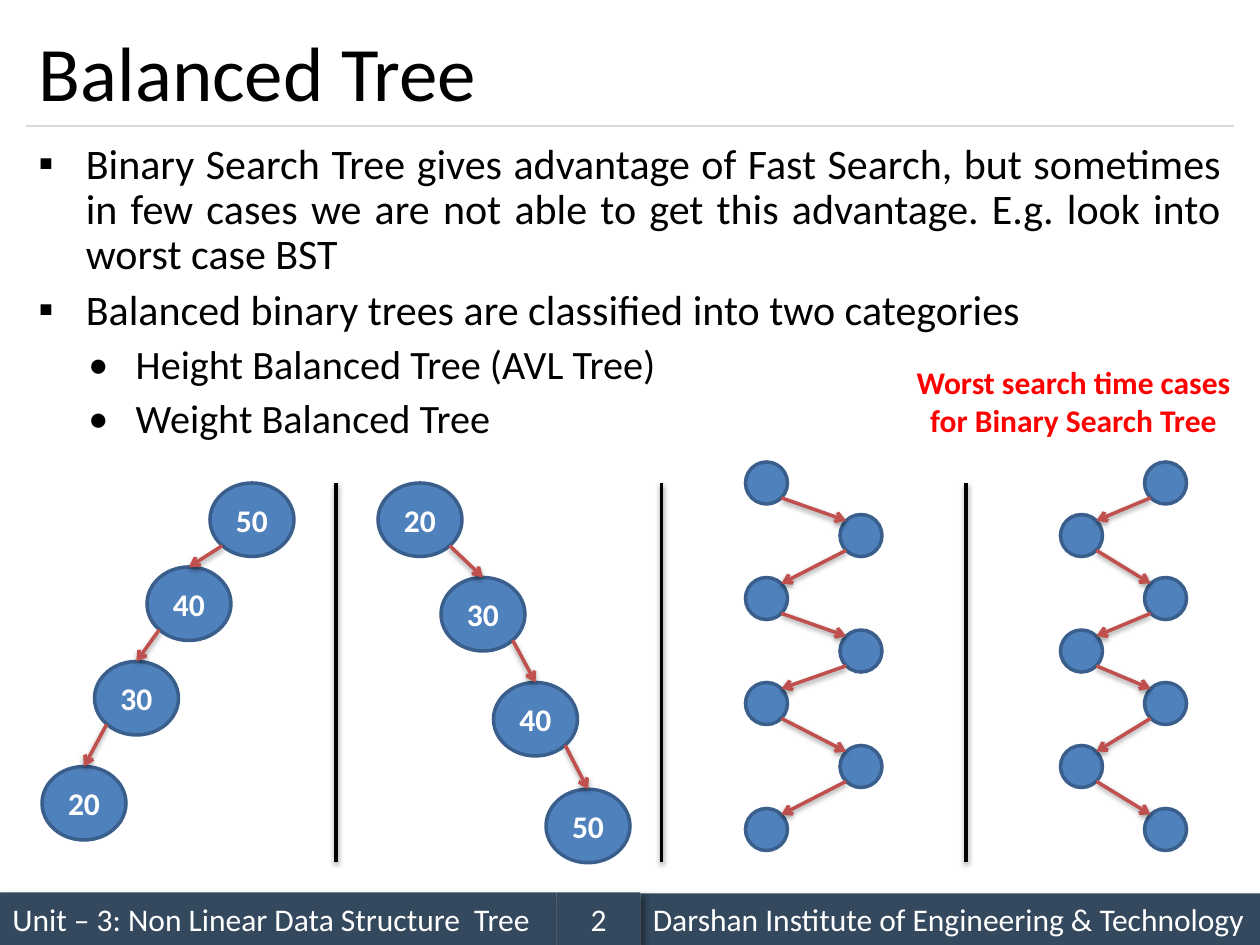
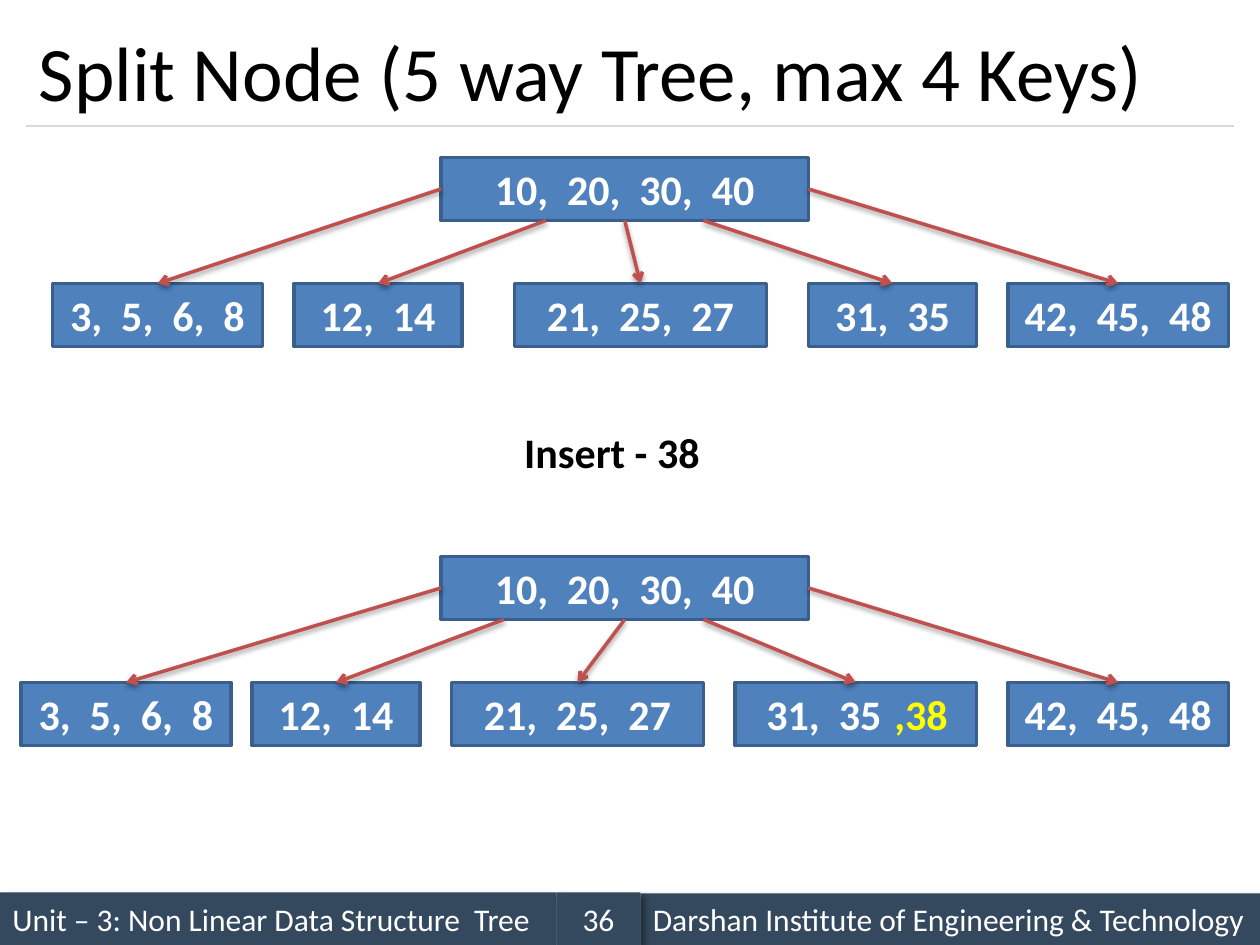
from dataclasses import dataclass
from math import sqrt

from lxml import etree
from pptx import Presentation
from pptx.dml.color import RGBColor
from pptx.enum.shapes import MSO_CONNECTOR, MSO_SHAPE
from pptx.enum.text import MSO_ANCHOR, MSO_AUTO_SIZE, PP_ALIGN
from pptx.oxml.ns import qn
from pptx.util import Pt

RECT, OVAL = MSO_SHAPE.RECTANGLE, MSO_SHAPE.OVAL
LINE = MSO_CONNECTOR.STRAIGHT
MID, TOP = MSO_ANCHOR.MIDDLE, MSO_ANCHOR.TOP
LEFT, MIDST, FULL = PP_ALIGN.LEFT, PP_ALIGN.CENTER, PP_ALIGN.JUSTIFY
FIXED = MSO_AUTO_SIZE.NONE

FACE = "Calibri"
BLACK, WHITE, RED, GOLD = "000000", "FFFFFF", "FF0000", "FFFF00"
BLUE, EDGE, ARROW, BAND, RULE = "4F81BD", "3A5F8C", "C0504D", "34495E", "D9D9D9"


@dataclass
class Shade:
    alpha: int
    blur: float
    dist: float
    angle: int


@dataclass
class Bar:
    left: float
    top: float
    width: float
    align: PP_ALIGN
    text: str


@dataclass
class Chain:
    """Ovals joined in a row by arrows; zigzag arrows end at a corner."""
    spots: list[tuple[float, float]]
    width: float
    height: float
    labels: list[str]
    zigzag: bool = False


@dataclass
class Leaf:
    left: float
    width: float
    text: str
    indent: float = 0


@dataclass
class Tree:
    top: float
    forks: tuple[float, float]
    leaves: list[Leaf]


SOFT = Shade(38, 3.1, 1.6, 90)
DEEP = Shade(40, 4, 3, 45)


# Shared helpers
def tint(code: str) -> RGBColor:
    return RGBColor.from_string(code)


def style(font, size: float, code: str, bold: bool = False) -> None:
    look = {"name": FACE, "size": Pt(size), "bold": bold}
    for key, value in look.items():
        setattr(font, key, value)
    font.color.rgb = tint(code)


def frame(shape, anchor=MID, wrap: bool = True, **margins):
    look = {"auto_size": FIXED, "word_wrap": wrap, "vertical_anchor": anchor}
    look |= {f"margin_{side}": Pt(gap) for side, gap in margins.items()}
    for key, value in look.items():
        setattr(shape.text_frame, key, value)
    return shape.text_frame


def write(body, lines: list[str], size: float, code: str,
          bold: bool = False, align=LEFT) -> None:
    for i, line in enumerate(lines):
        para = body.add_paragraph() if i else body.paragraphs[0]
        para.text, para.alignment = line, align
        style(para.font, size, code, bold)


def cast(effects, shade: Shade) -> None:
    outer = etree.SubElement(
        effects, qn("a:outerShdw"), blurRad=str(Pt(shade.blur)),
        dist=str(Pt(shade.dist)), dir=str(shade.angle * 60000),
        algn="ctr", rotWithShape="0")
    ink = etree.SubElement(outer, qn("a:srgbClr"), val=BLACK)
    etree.SubElement(ink, qn("a:alpha"), val=str(shade.alpha * 1000))


def block(shapes, kind, box: tuple, fill: str, edge: str = ""):
    shape = shapes.add_shape(kind, *map(Pt, box))
    shape.shadow.inherit = False
    shape.fill.solid()
    shape.fill.fore_color.rgb = tint(fill)
    if edge:
        shape.line.color.rgb = tint(edge)
        shape.line.width = Pt(2)
    else:
        shape.line.fill.background()
    return shape


def node(shapes, kind, box: tuple, text: str, size: float, indent: float = 0):
    shape = block(shapes, kind, box, BLUE, EDGE)
    if text:
        body = frame(shape, left=indent, right=0)
        write(body, [text], size, WHITE, True, LEFT if indent else MIDST)
    return shape


def link(shapes, start: tuple, end: tuple, code: str, width: float = 2,
         shade: Shade | None = SOFT, head: bool = False):
    line = shapes.add_connector(LINE, *map(Pt, start + end))
    line.line.color.rgb = tint(code)
    line.line.width = Pt(width)
    props = line.line._get_or_add_ln()
    if head:
        etree.SubElement(props, qn("a:tailEnd"), type="arrow")
    effects = etree.SubElement(props.getparent(), qn("a:effectLst"))
    if shade:
        cast(effects, shade)
    return line


def note(slide, box: tuple, lines: list[str], size: float, code: str,
         align=LEFT) -> None:
    body = frame(slide.shapes.add_textbox(*map(Pt, box)), TOP, False)
    write(body, lines, size, code, True, align)


def start(deck, title: str, number: int):
    slide = deck.slides.add_slide(deck.slide_layouts[5])
    bars = [
        Bar(0, 510, 318, LEFT, "Unit – 3: Non Linear Data Structure  Tree"),
        Bar(366, 510.5, 354, LEFT,
            "Darshan Institute of Engineering & Technology"),
        Bar(318, 510, 48, MIDST, str(number)),
    ]
    for bar in bars:
        box = (bar.left, bar.top, bar.width, 540 - bar.top)
        shape = block(slide.shapes, RECT, box, BAND)
        cast(shape._element.spPr.find(qn("a:effectLst")), DEEP)
        write(frame(shape), [bar.text], 18, WHITE, align=bar.align)
    link(slide.shapes, (15, 72), (705, 72), RULE, 0.75, None)

    head = slide.shapes.title
    place = {"left": 15, "top": 9, "width": 690, "height": 63}
    for key, value in place.items():
        setattr(head, key, Pt(value))
    write(frame(head), [title], 44, BLACK)
    return slide


# Balanced tree slide
def bullets(slide, box: tuple, points: list[tuple[int, str]]) -> None:
    body = frame(slide.shapes.add_textbox(*map(Pt, box)), TOP)
    looks = [("▪", 27, 24), ("•", 55.5, 23)]
    for i, (level, text) in enumerate(points):
        mark, indent, size = looks[level]
        para = body.add_paragraph() if i else body.paragraphs[0]
        para.text = text
        props = para._p.get_or_add_pPr()
        props.set("marL", str(Pt(indent)))
        props.set("indent", str(-Pt(27)))
        etree.SubElement(props, qn("a:buFont"), typeface=FACE)
        etree.SubElement(props, qn("a:buChar"), char=mark)
        look = {"level": level, "alignment": FULL, "line_spacing": 0.9,
                "space_before": Pt(6 if i else 0)}
        for key, value in look.items():
            setattr(para, key, value)
        style(para.font, size, BLACK)


def draw_chain(slide, chain: Chain) -> None:
    shapes = slide.shapes.add_group_shape().shapes
    wide, high = chain.width / 2, chain.height / 2
    for (left, top), label in zip(chain.spots, chain.labels):
        node(shapes, OVAL, (left, top, chain.width, chain.height), label, 18)
    for (x, y), (u, v) in zip(chain.spots, chain.spots[1:]):
        side = (1 if u > x else -1) / sqrt(2)
        begin = (x + wide * (1 + side), y + high * (1 + 1 / sqrt(2)))
        end = (u + wide, v)
        if chain.zigzag:
            end = (u + wide * (1 - side), v + high * (1 - 1 / sqrt(2)))
        link(shapes, begin, end, ARROW, head=True)


def balanced(deck) -> None:
    slide = start(deck, "Balanced Tree", 2)
    bullets(slide, (15, 78, 690, 192), [
        (0, "Binary Search Tree gives advantage of Fast Search, but sometimes "
            "in few cases we are not able to get this advantage. E.g. look "
            "into worst case BST"),
        (0, "Balanced binary trees are classified into two categories"),
        (1, "Height Balanced Tree (AVL Tree)"),
        (1, "Weight Balanced Tree"),
    ])
    chains = [
        Chain([(120, 276), (84, 324), (54, 378), (24, 438)], 48, 42,
              ["50", "40", "30", "20"]),
        Chain([(216, 276), (252, 330), (282, 390), (312, 451)], 48, 42,
              ["20", "30", "40", "50"]),
    ]
    tops = [264, 294, 330, 360, 390, 426, 462]
    for pair in [(426, 480), (654, 606)]:
        spots = [(pair[i % 2], top) for i, top in enumerate(tops)]
        chains.append(Chain(spots, 24, 24, [""] * len(tops), True))
    for chain in chains:
        draw_chain(slide, chain)
    for x in (192, 378, 552):
        link(slide.shapes, (x, 276), (x, 492.5), BLACK)
    note(slide, (516, 204, 195, 51),
         ["Worst search time cases", "for Binary Search Tree"],
         18, RED, MIDST)


# Split node slide
def draw_tree(slide, tree: Tree) -> None:
    shapes, high, drop = slide.shapes, 36, tree.top + 72
    root = node(shapes, RECT, (252, tree.top, 210, high),
                "10,  20,  30,  40", 24)
    boxes = [node(shapes, RECT, (leaf.left, drop, leaf.width, high),
                  leaf.text, 24, leaf.indent) for leaf in tree.leaves]
    # Forks leave the root's lower edge; the others leave mid-side
    exits = [(1, 252), (None, tree.forks[0]), (2, 357),
             (None, tree.forks[1]), (3, 462)]
    for leaf, box, (site, x) in zip(tree.leaves, boxes, exits):
        line = link(shapes, (x, tree.top + high),
                    (leaf.left + leaf.width / 2, drop), ARROW, head=True)
        if site:
            line.begin_connect(root, site)
        line.end_connect(box, 0)


def split(deck) -> None:
    slide = start(deck, "Split Node (5 way Tree, max 4 Keys)", 36)
    last = Leaf(576, 126, "42,  45,  48")
    before = Tree(90, (312, 402), [
        Leaf(30, 120, "3,  5,  6,  8"), Leaf(168, 96, "12,  14"),
        Leaf(294, 144, "21,  25,  27"), Leaf(462, 96, "31,  35"), last])
    after = Tree(318, (288, 402), [
        Leaf(12, 120, "3,  5,  6,  8"), Leaf(144, 96, "12,  14"),
        Leaf(258, 144, "21,  25,  27"), Leaf(420, 138, "31,  35", 18), last])
    for tree in (before, after):
        draw_tree(slide, tree)
    note(slide, (292.5, 240, 116, 36), ["Insert - 38"], 24, BLACK)
    note(slide, (504, 390, 45, 36), [",38"], 24, GOLD)


def main() -> None:
    deck = Presentation()
    deck.slide_width, deck.slide_height = Pt(720), Pt(540)
    balanced(deck)
    split(deck)
    deck.save("out.pptx")


if __name__ == "__main__":
    main()
